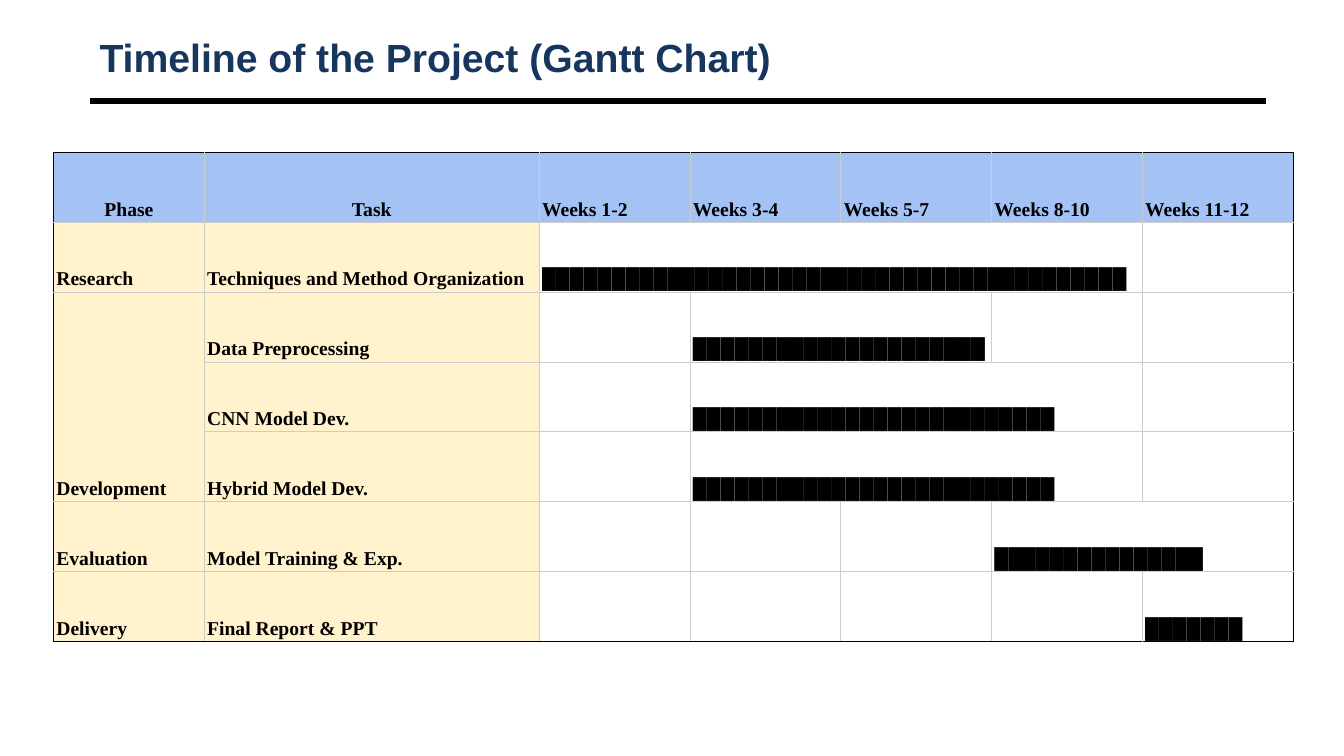
"""Build a one-slide project timeline as a Gantt table."""
import pptx
import pptx.dml.color
import pptx.enum.shapes
import pptx.enum.text
import pptx.oxml
import pptx.oxml.ns
import pptx.util
from dataclasses import dataclass

Cm = pptx.util.Cm
Pt = pptx.util.Pt
ALIGN = pptx.enum.text.PP_ALIGN
ANCHOR = pptx.enum.text.MSO_ANCHOR

TITLE = "Timeline of the Project (Gantt Chart)"
HEADERS = ["Phase", "Task", "Weeks 1-2", "Weeks 3-4", "Weeks 5-7", "Weeks 8-10", "Weeks 11-12"]
PHASES = [("Research", 1), ("Development", 3), ("Evaluation", 1), ("Delivery", 1)]
# (task, first column of the bar, columns spanned, blocks in the bar)
TASKS = [
    ("Techniques and Method Organization", 2, 4, 42),
    ("Data Preprocessing", 3, 2, 21),
    ("CNN Model Dev.", 3, 3, 26),
    ("Hybrid Model Dev.", 3, 3, 26),
    ("Model Training & Exp.", 5, 2, 15),
    ("Final Report & PPT", 6, 1, 7),
]
BLOCK = "█"
LEFT, TOP = 1.35, 3.84
COL_W, TASK_W, ROW_H = 3.8, 8.44, 1.76
RULE_X, RULE_Y, RULE_W = 2.26, 2.54, 29.64


@dataclass(frozen=True)
class Theme:
    title: str = "17365D"
    ink: str = "000000"
    header: str = "A4C2F4"
    label: str = "FFF2CC"
    grid: str = "CCCCCC"
    title_font: str = "Arial"
    body_font: str = "Times New Roman"
    title_size: float = 28
    body_size: float = 14
    grid_width: float = 0.6
    rule_width: float = 4.5


THEME = Theme()


def rgb(value):
    return pptx.dml.color.RGBColor.from_string(value)


def write(tf, text, font=THEME.body_font, size=THEME.body_size, color=THEME.ink, align=ALIGN.LEFT):
    p = tf.paragraphs[0]
    p.alignment = align
    r = p.add_run()
    r.text = text
    r.font.name, r.font.size, r.font.bold = font, Pt(size), True
    r.font.color.rgb = rgb(color)


def set_borders(cell, outer):
    tc_pr = cell._tc.get_or_add_tcPr()
    for side in "LRTB":
        color = THEME.ink if side in outer else THEME.grid
        tc_pr.append(pptx.oxml.parse_xml(
            f'<a:ln{side} {pptx.oxml.ns.nsdecls("a")} w="{Pt(THEME.grid_width)}">'
            f'<a:solidFill><a:srgbClr val="{color}"/></a:solidFill></a:ln{side}>'))


def style_cell(cell, row, col):
    last_row = row + (cell.span_height if cell.is_merge_origin else 1) - 1
    last_col = col + (cell.span_width if cell.is_merge_origin else 1) - 1
    edges = {"L": col == 0, "R": last_col == len(HEADERS) - 1,
             "T": row == 0, "B": last_row == len(TASKS)}
    set_borders(cell, [side for side, on_edge in edges.items() if on_edge])
    if row == 0 or col < 2:
        cell.fill.solid()
        cell.fill.fore_color.rgb = rgb(THEME.label if row else THEME.header)
    else:
        cell.fill.background()
    cell.vertical_anchor = ANCHOR.BOTTOM
    cell.margin_left = cell.margin_right = Cm(0.07)
    cell.margin_top = cell.margin_bottom = Cm(0.05)


def add_title(s):
    line = s.shapes.add_connector(pptx.enum.shapes.MSO_CONNECTOR.STRAIGHT, Cm(RULE_X),
                                  Cm(RULE_Y), Cm(RULE_X + RULE_W), Cm(RULE_Y))
    line.line.color.rgb = rgb(THEME.ink)
    line.line.width = Pt(THEME.rule_width)
    line._element.spPr.append(pptx.oxml.parse_xml(f'<a:effectLst {pptx.oxml.ns.nsdecls("a")}/>'))
    sp = s.shapes.add_textbox(Cm(RULE_X), Cm(0.76), Cm(RULE_W), Cm(1.35))
    tf = sp.text_frame
    tf.word_wrap = True
    tf.vertical_anchor = ANCHOR.MIDDLE
    write(tf, TITLE, font=THEME.title_font, size=THEME.title_size, color=THEME.title)


def add_gantt(s):
    widths = [TASK_W if name == "Task" else COL_W for name in HEADERS]
    rows = len(TASKS) + 1
    table = s.shapes.add_table(rows, len(HEADERS), Cm(LEFT), Cm(TOP),
                               Cm(sum(widths)), Cm(ROW_H * rows)).table
    table.first_row = table.horz_banding = False
    for column, width in zip(table.columns, widths):
        column.width = Cm(width)
    for row in table.rows:
        row.height = Cm(ROW_H)

    for col, name in enumerate(HEADERS):
        write(table.cell(0, col).text_frame, name, align=ALIGN.CENTER if col < 2 else ALIGN.LEFT)
    row = 1
    for name, span in PHASES:
        cell = table.cell(row, 0)
        if span > 1:
            cell.merge(table.cell(row + span - 1, 0))
        write(cell.text_frame, name)
        row += span
    for row, (name, start, span, blocks) in enumerate(TASKS, 1):
        write(table.cell(row, 1).text_frame, name)
        bar = table.cell(row, start)
        if span > 1:
            bar.merge(table.cell(row, start + span - 1))
        write(bar.text_frame, BLOCK * blocks)

    for row in range(rows):
        for col in range(len(HEADERS)):
            cell = table.cell(row, col)
            if not cell.is_spanned:
                style_cell(cell, row, col)


def main():
    prs = pptx.Presentation()
    prs.slide_width, prs.slide_height = Cm(33.87), Cm(19.05)
    s = prs.slides.add_slide(prs.slide_layouts[6])
    add_title(s)
    add_gantt(s)
    prs.save("out.pptx")


if __name__ == "__main__":
    main()
